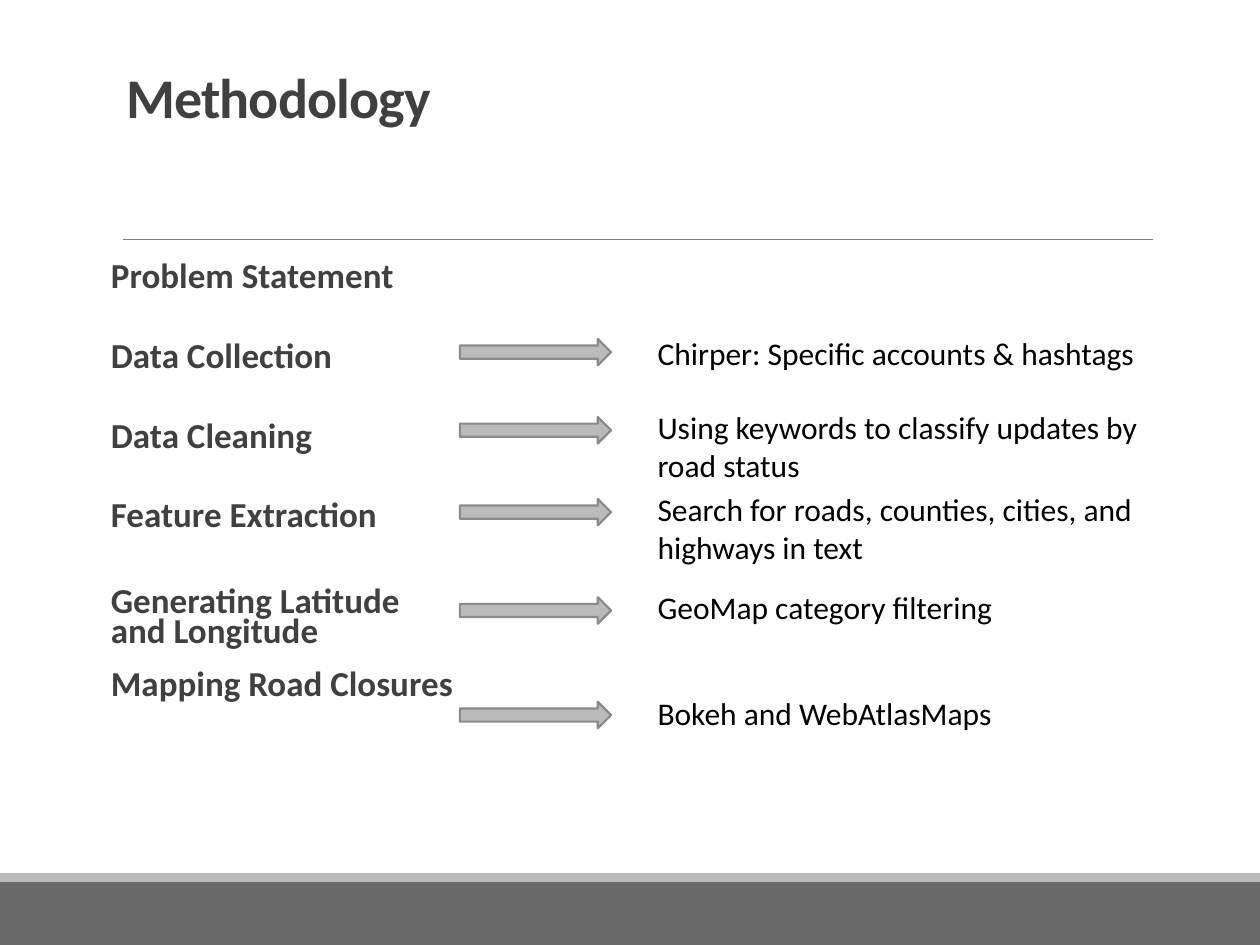
import dataclasses

import lxml.etree
import pptx
import pptx.dml.color
import pptx.enum.shapes
import pptx.enum.text
import pptx.oxml.ns
import pptx.util

SHAPES = pptx.enum.shapes.MSO_SHAPE
ANCHOR = pptx.enum.text.MSO_ANCHOR
qn = pptx.oxml.ns.qn


@dataclasses.dataclass(frozen=True)
class Theme:
    font: str = "Calibri"
    heading: str = "404040"
    text: str = "000000"
    footer: str = "696969"
    accent: str = "BABABA"
    outline: str = "8A8A8A"
    rule: str = "808080"
    title_size: int = 32
    step_size: int = 20
    detail_size: int = 18


THEME = Theme()
COLUMNS, ROWS = 100, 75
CELL = pptx.util.Inches(0.1)
ARROW_LEFT, ARROW_WIDTH, ARROW_HEIGHT = 36.5, 12, 2.1
DETAIL_LEFT, DETAIL_WIDTH = 51.2, 42.2

STEPS = [
    ("Problem Statement", 0.9, 0, 12),
    ("Data Collection", 0.9, 12, 12),
    ("Data Cleaning", 0.9, 12, 12),
    ("Feature Extraction", 0.9, 12, 12),
    ("Generating Latitude", 0.2, 29, 0),
    ("and Longitude", 0.2, 12, 0),
    ("Mapping Road Closures", 0.9, 12, 12),
]

DETAILS = [
    ("Chirper: Specific accounts & hashtags", 26.9, 26, 4),
    ("Using keywords to classify updates by road status", 33.1, 31.9, 7.1),
    ("Search for roads, counties, cities, and highways in text", 39.6, 38.4, 7.1),
    ("GeoMap category filtering", 47.4, 46.2, 4),
    ("Bokeh and WebAtlasMaps", 55.7, 54.6, 4),
]


def grid(*cells):
    return [round(cell * CELL) for cell in cells]


def color(value):
    return pptx.dml.color.RGBColor.from_string(value)


def move(shape, *cells):
    shape.left, shape.top, shape.width, shape.height = grid(*cells)


def format_runs(paragraph, size, value, bold=False):
    for run in paragraph.runs:
        run.font.name = THEME.font
        run.font.size = pptx.util.Pt(size)
        run.font.bold = bold
        run.font.color.rgb = color(value)


def add_block(slide, kind, cells, fill, outline=None):
    shape = slide.shapes.add_shape(kind, *grid(*cells))
    shape.shadow.inherit = False
    shape.fill.solid()
    shape.fill.fore_color.rgb = color(fill)
    if outline:
        shape.line.color.rgb = color(outline)
        shape.line.width = pptx.util.Pt(1.25)
    else:
        shape.line.fill.background()


def add_rule(slide, left, right, top):
    connector = slide.shapes.add_connector(
        pptx.enum.shapes.MSO_CONNECTOR.STRAIGHT, *grid(left, top, right, top))
    connector.line.color.rgb = color(THEME.rule)
    connector.line.width = pptx.util.Pt(0.5)
    lxml.etree.SubElement(connector._element.spPr, qn("a:effectLst"))


def add_blank_bullet(paragraph):
    properties = paragraph._p.get_or_add_pPr()
    indent = pptx.util.Inches(0.1)
    properties.set("marL", str(indent))
    properties.set("indent", str(-indent))
    bullet_color = lxml.etree.SubElement(properties, qn("a:buClr"))
    lxml.etree.SubElement(bullet_color, qn("a:srgbClr"), val=THEME.accent)
    lxml.etree.SubElement(properties, qn("a:buChar"), char=" ")


def fill_title(title, text):
    move(title, 9, 3.1, 82.5, 7.7)
    frame = title.text_frame
    frame.text = text
    frame.auto_size = pptx.enum.text.MSO_AUTO_SIZE.NONE
    frame.vertical_anchor = ANCHOR.BOTTOM
    paragraph = frame.paragraphs[0]
    paragraph.alignment = pptx.enum.text.PP_ALIGN.LEFT
    paragraph.line_spacing = 0.85
    format_runs(paragraph, THEME.title_size, THEME.heading, bold=True)
    paragraph.runs[0]._r.get_or_add_rPr().set("spc", "-50")


def fill_steps(body):
    move(body, 7.8, 20, 82.5, 47.7)
    frame = body.text_frame
    frame.text = "\n".join(step[0] for step in STEPS)
    frame.auto_size = pptx.enum.text.MSO_AUTO_SIZE.NONE
    frame.vertical_anchor = ANCHOR.TOP
    frame.margin_left = frame.margin_right = 0
    for paragraph, (_, spacing, before, after) in zip(frame.paragraphs, STEPS):
        add_blank_bullet(paragraph)
        paragraph.line_spacing = spacing
        paragraph.space_before = pptx.util.Pt(before)
        paragraph.space_after = pptx.util.Pt(after)
        format_runs(paragraph, THEME.step_size, THEME.heading, bold=True)


def add_detail(slide, text, arrow_top, text_top, text_height):
    add_block(slide, SHAPES.RIGHT_ARROW,
              (ARROW_LEFT, arrow_top, ARROW_WIDTH, ARROW_HEIGHT),
              THEME.accent, THEME.outline)
    box = slide.shapes.add_textbox(
        *grid(DETAIL_LEFT, text_top, DETAIL_WIDTH, text_height))
    frame = box.text_frame
    frame.word_wrap = True
    frame.text = text
    format_runs(frame.paragraphs[0], THEME.detail_size, THEME.text)


def main():
    presentation = pptx.Presentation()
    presentation.slide_width, presentation.slide_height = grid(COLUMNS, ROWS)
    slide = presentation.slides.add_slide(presentation.slide_layouts[1])
    add_block(slide, SHAPES.RECTANGLE, (0, 70, COLUMNS, 5), THEME.footer)
    add_block(slide, SHAPES.RECTANGLE, (0, 69.3, COLUMNS, 0.7), THEME.accent)
    add_rule(slide, 9.8, 91.5, 19)
    fill_title(slide.shapes.title, "Methodology")
    fill_steps(slide.placeholders[1])
    for detail in DETAILS:
        add_detail(slide, *detail)
    presentation.save("out.pptx")


if __name__ == "__main__":
    main()
